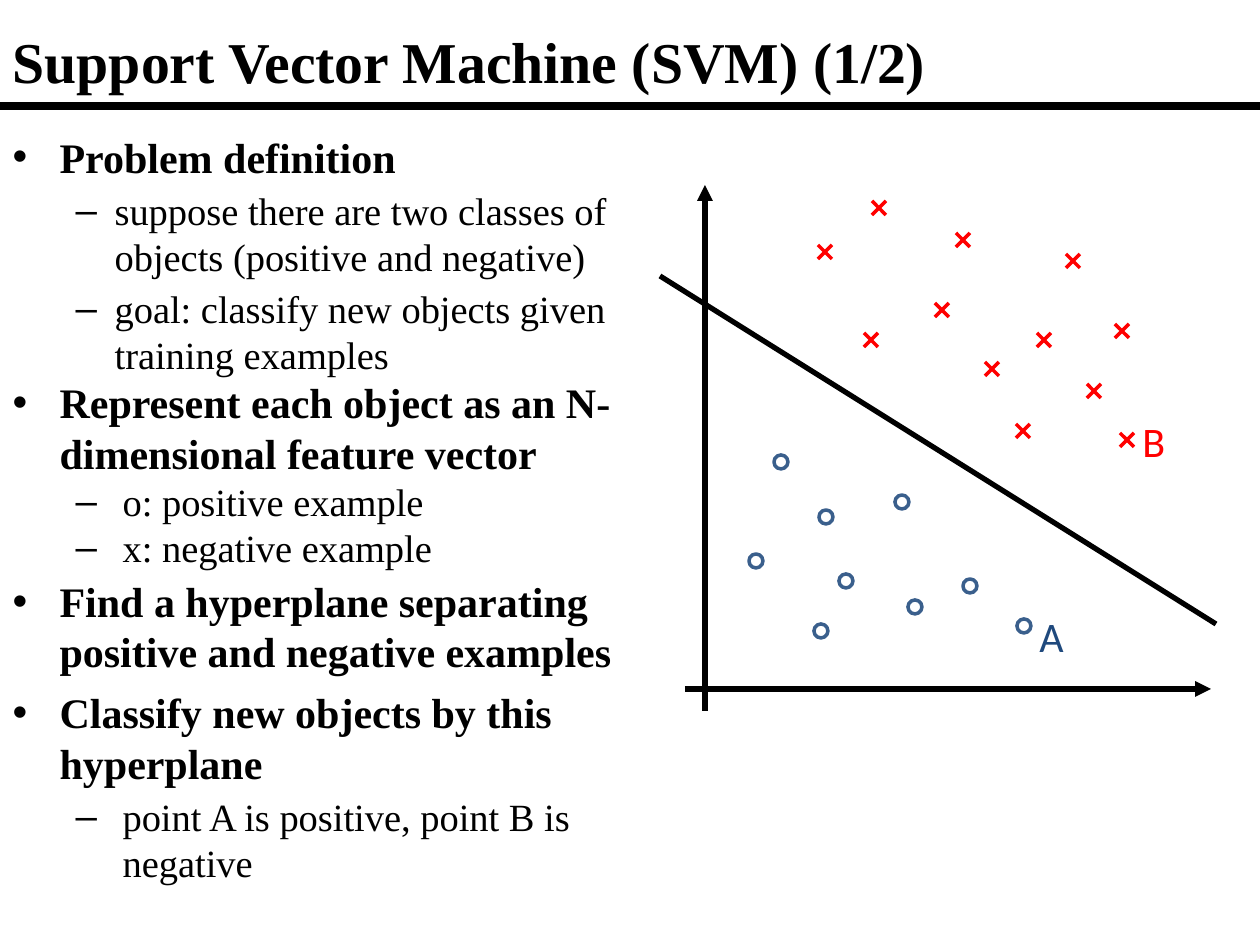
"""Build the Support Vector Machine slide."""
import pptx
import pptx.util
import pptx.dml.color
import pptx.enum.shapes
import pptx.enum.text
import pptx.oxml.ns
import lxml.etree

PX = 914400 / 126
COLORS = {"ink": "000000", "positive": "3A5F8C", "label": "1F497D", "negative": "FF0000"}
SERIF, SANS = "Times New Roman", "Calibri"
MARK = 14

BODY = [
    (0, "Problem definition", 47, 0, 0),
    (1, "suppose there are two classes of objects (positive and negative)", 102, 3, 0),
    (1, "goal: classify new objects given training examples", 102, 3, 0),
    (0, "Represent each object as an N-dimensional feature vector", 47, 0, 0),
    (1, "o: positive example", 110, 0, 0),
    (1, "x: negative example", 110, 0, 0),
    (0, "Find a hyperplane separating positive and negative examples", 47, 3, 3),
    (0, "Classify new objects by this hyperplane", 47, 3, 0),
    (1, "point A is positive, point B is negative", 110, 3, 0),
]
POSITIVES = [(121, 277), (166, 332), (242, 317), (310, 401), (255, 422),
             (186, 396), (96, 376), (161, 446)]
NEGATIVES = [(219, 23), (211, 155), (363, 246), (384, 155), (282, 125), (303, 55),
             (413, 76), (434, 206), (332, 184), (165, 67), (462, 146)]
POINT_A, POINT_B = (364, 441), (467, 255)


def emu(*lengths):
    """Turn px lengths into EMU."""
    return [pptx.util.Emu(round(n * PX)) for n in lengths]


def rgb(name):
    """Look up a named colour."""
    return pptx.dml.color.RGBColor.from_string(COLORS[name])


def style_font(font, name, size, color, bold=False):
    """Set the face, size, colour and weight of a font."""
    font.name, font.size, font.bold = name, pptx.util.Pt(size), bold
    font.color.rgb = rgb(color)


def add_line(shapes, start, end, color, width, arrow=False):
    """Draw a straight line, with an arrowhead at its end if asked."""
    sp = shapes.add_connector(pptx.enum.shapes.MSO_CONNECTOR.STRAIGHT, *emu(*start, *end))
    sp.line.color.rgb = rgb(color)
    sp.line.width = pptx.util.Pt(width)
    if arrow:
        ln = sp.line._get_or_add_ln()
        lxml.etree.SubElement(ln, pptx.oxml.ns.qn("a:tailEnd"), type="triangle")
    lxml.etree.SubElement(sp._element.spPr, pptx.oxml.ns.qn("a:effectLst"))


def add_circle(shapes, x, y):
    """Draw a positive example centred on a point."""
    sp = shapes.add_shape(pptx.enum.shapes.MSO_SHAPE.OVAL,
                          *emu(x - MARK / 2, y - MARK / 2, MARK, MARK))
    sp.shadow.inherit = False
    sp.fill.background()
    sp.line.color.rgb = rgb("positive")
    sp.line.width = pptx.util.Pt(2)


def add_cross(shapes, x, y):
    """Draw a negative example centred on a point."""
    h = MARK / 2
    for rise in (-h, h):
        add_line(shapes, (x - h, y + rise), (x + h, y - rise), "negative", 2)


def add_label(shapes, text, x, y, color):
    """Write the letter of a point."""
    sp = shapes.add_textbox(*emu(x, y, 59, 63))
    tf = sp.text_frame
    tf.word_wrap = True
    p = tf.paragraphs[0]
    p.text = text
    style_font(p.font, SANS, 24, color)


def add_header(s, left, top, width, height):
    """Place the title and the rule under it."""
    sp = s.shapes.title
    sp.left, sp.top, sp.width, sp.height = emu(left, top, width, height)
    tf = sp.text_frame
    tf.vertical_anchor = pptx.enum.text.MSO_ANCHOR.MIDDLE
    p = tf.paragraphs[0]
    p.text = "Support Vector Machine (SVM) (1/2)"
    p.alignment = pptx.enum.text.PP_ALIGN.LEFT
    style_font(p.font, SERIF, 33, "ink", True)
    rule = top + height - 4
    add_line(s.shapes, (left, rule), (left + width, rule), "ink", 4.5)


def add_body(s, left, top, width, height):
    """Fill the body placeholder with the two-level list."""
    sp = s.placeholders[1]
    sp.left, sp.top, sp.width, sp.height = emu(left, top, width, height)
    tf = sp.text_frame
    tf.auto_size = pptx.enum.text.MSO_AUTO_SIZE.NONE
    for i, (level, text, margin, before, after) in enumerate(BODY):
        p = tf.add_paragraph() if i else tf.paragraphs[0]
        p.text, p.level = text, level
        p.line_spacing = 1.0
        p.space_before, p.space_after = pptx.util.Pt(before), pptx.util.Pt(after)
        hang = 39 if margin == 102 else 47
        pPr = p._p.get_or_add_pPr()
        for key, value in zip(("marL", "indent"), emu(margin, -hang)):
            pPr.set(key, str(value))
        style_font(p.font, SERIF, 22 if level else 24, "ink", level == 0)


def add_plot(s, left, top, width, height):
    """Draw the axes, the hyperplane and both classes of examples."""
    def at(x, y):
        return left + x, top + y

    add_line(s.shapes, at(0, 91), at(width, 439), "ink", 3)
    add_line(s.shapes, at(45, height), at(45, 0), "ink", 3, True)
    add_line(s.shapes, at(25, 504), at(551, 504), "ink", 3, True)
    classes = ((add_circle, POSITIVES, POINT_A, "A", (3, -22), "label"),
               (add_cross, NEGATIVES, POINT_B, "B", (3, -31), "negative"))
    for draw, points, named, letter, (dx, dy), color in classes:
        examples = s.shapes.add_group_shape().shapes
        for point in points:
            draw(examples, *at(*point))
        lettered = s.shapes.add_group_shape().shapes
        x, y = at(*named)
        draw(lettered, x, y)
        add_label(lettered, letter, x + dx, y + dy, color)


def main():
    """Build and save the slide."""
    prs = pptx.Presentation()
    prs.slide_width, prs.slide_height = emu(1260, 945)
    s = prs.slides.add_slide(prs.slide_layouts[1])
    add_header(s, 0, 11, 1260, 99)
    add_plot(s, 660, 185, 556, 526)
    add_body(s, 0, 125, 640, 774)
    prs.save("out.pptx")


if __name__ == "__main__":
    main()
